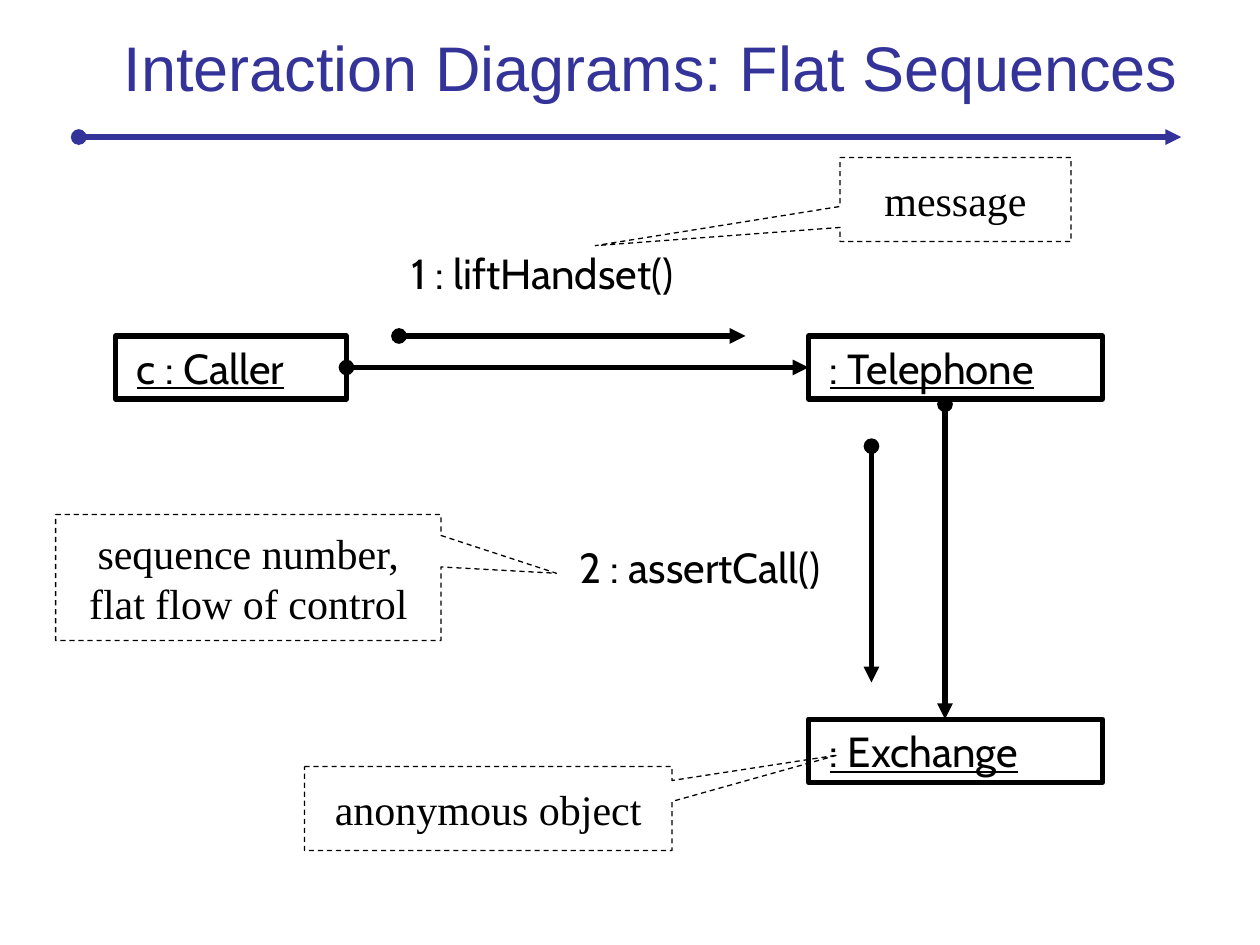
from lxml import etree
from pptx import Presentation
from pptx.dml.color import RGBColor
from pptx.enum import dml, shapes, text
from pptx.oxml import ns
from pptx.util import Inches, Pt

COLORS = {"title": "333399", "ink": "000000"}
COLUMNS, ROWS = 120, 90  # twelve grid cells to the inch

prs = Presentation()
prs.slide_width, prs.slide_height = Inches(10), Inches(7.5)
slide = prs.slides.add_slide(prs.slide_layouts[6])


def across(columns):
    return round(prs.slide_width * columns / COLUMNS)


def down(rows):
    return round(prs.slide_height * rows / ROWS)


def place(box):
    left, top, width, height = box
    return across(left), down(top), across(width), down(height)


def write(shape, content, font="Cabin", size=24, color="ink", underline=False,
          align=text.PP_ALIGN.LEFT, anchor=text.MSO_ANCHOR.TOP,
          wrap=True, inset=0.1):
    frame = shape.text_frame
    frame.word_wrap = wrap
    frame.vertical_anchor = anchor
    frame.margin_left, frame.margin_right = Inches(inset), Inches(0.1)
    frame.margin_top = frame.margin_bottom = Inches(0.05)
    frame.text = content
    for paragraph in frame.paragraphs:
        paragraph.alignment = align
        paragraph.font.name = font
        paragraph.font.size = Pt(size)
        paragraph.font.underline = underline
        paragraph.font.color.rgb = RGBColor.from_string(COLORS[color])


def label(box, content, **style):
    write(slide.shapes.add_textbox(*place(box)), content, **style)


def outline(preset, box, width):
    shape = slide.shapes.add_shape(preset, *place(box))
    shape.shadow.inherit = False
    shape.fill.background()
    shape.line.color.rgb = RGBColor.from_string(COLORS["ink"])
    shape.line.width = Pt(width)
    return shape


def arrow(start, end, color="ink"):
    line = slide.shapes.add_connector(
        shapes.MSO_CONNECTOR.STRAIGHT,
        across(start[0]), down(start[1]), across(end[0]), down(end[1]))
    line.line.color.rgb = RGBColor.from_string(COLORS[color])
    line.line.width = Pt(3)
    ln = line.line._get_or_add_ln()
    etree.SubElement(ln, ns.qn("a:headEnd"), type="oval")
    etree.SubElement(ln, ns.qn("a:tailEnd"), type="triangle")
    etree.SubElement(line._element.spPr, ns.qn("a:effectLst"))
    return line


def heading(box, content):
    left, top, width, height = box
    rule = top + height - 0.15
    arrow((left + 1.5, rule), (left + 106.5, rule), color="title")
    label((left + 0.8, top, width, height), content, font="Arial", size=36,
          color="title", align=text.PP_ALIGN.CENTER,
          anchor=text.MSO_ANCHOR.MIDDLE)


def callout(box, content, tip):
    """Dashed note whose pointer ends at tip, a grid position."""
    left, top, width, height = box
    note = outline(shapes.MSO_SHAPE.RECTANGULAR_CALLOUT, box, 0.75)
    note.line.dash_style = dml.MSO_LINE.DASH
    note.adjustments[0] = (tip[0] - left) / width - 0.5
    note.adjustments[1] = (tip[1] - top) / height - 0.5
    write(note, content, font="Times New Roman", wrap=False,
          align=text.PP_ALIGN.CENTER, anchor=text.MSO_ANCHOR.MIDDLE)


def participant(box, content):
    node = outline(shapes.MSO_SHAPE.RECTANGLE, box, 3)
    write(node, content, underline=True, inset=0.17)
    return node


def sequence(box):
    """Objects, their links, and the messages sent along them."""
    left, top, width, height = box
    node_height, caller_width, callee_width = 6, 22, 28
    callee_left = left + width - callee_width
    exchange_top = top + height - node_height

    # Objects
    caller = participant((left, top, caller_width, node_height), "c : Caller")
    telephone = participant((callee_left, top, callee_width, node_height),
                            ": Telephone")
    participant((callee_left, exchange_top, callee_width, node_height),
                ": Exchange")

    # Links
    middle = top + node_height / 2
    call = arrow((left + caller_width, middle), (callee_left, middle))
    call.begin_connect(caller, 3)
    call.end_connect(telephone, 1)
    link = callee_left + 13
    arrow((link, top + node_height + 0.5), (link, exchange_top))

    # Messages
    arrow((left + 27, top), (left + 60, top))
    label((left + 27, top - 9, 32, 6), "1 : liftHandset()")
    arrow((link - 7, top + 10.5), (link - 7, top + 33))
    label((left + 43, top + 19, 30, 6), "2 : assertCall()")


heading((6, -0.6, 110.4, 13.8), "Interaction Diagrams: Flat Sequences")

# Explanatory notes
for box, content, tip in (
    ((5.3, 49, 36.7, 12), "sequence number,\nflat flow of control", (53, 54.6)),
    ((29, 73, 35, 8), "anonymous object", (79.8, 71.9)),
    ((80, 15, 22, 8), "message", (56.7, 23.4)),
):
    callout(box, content, tip)

sequence((11, 32, 94, 42.5))

prs.save("out.pptx")
